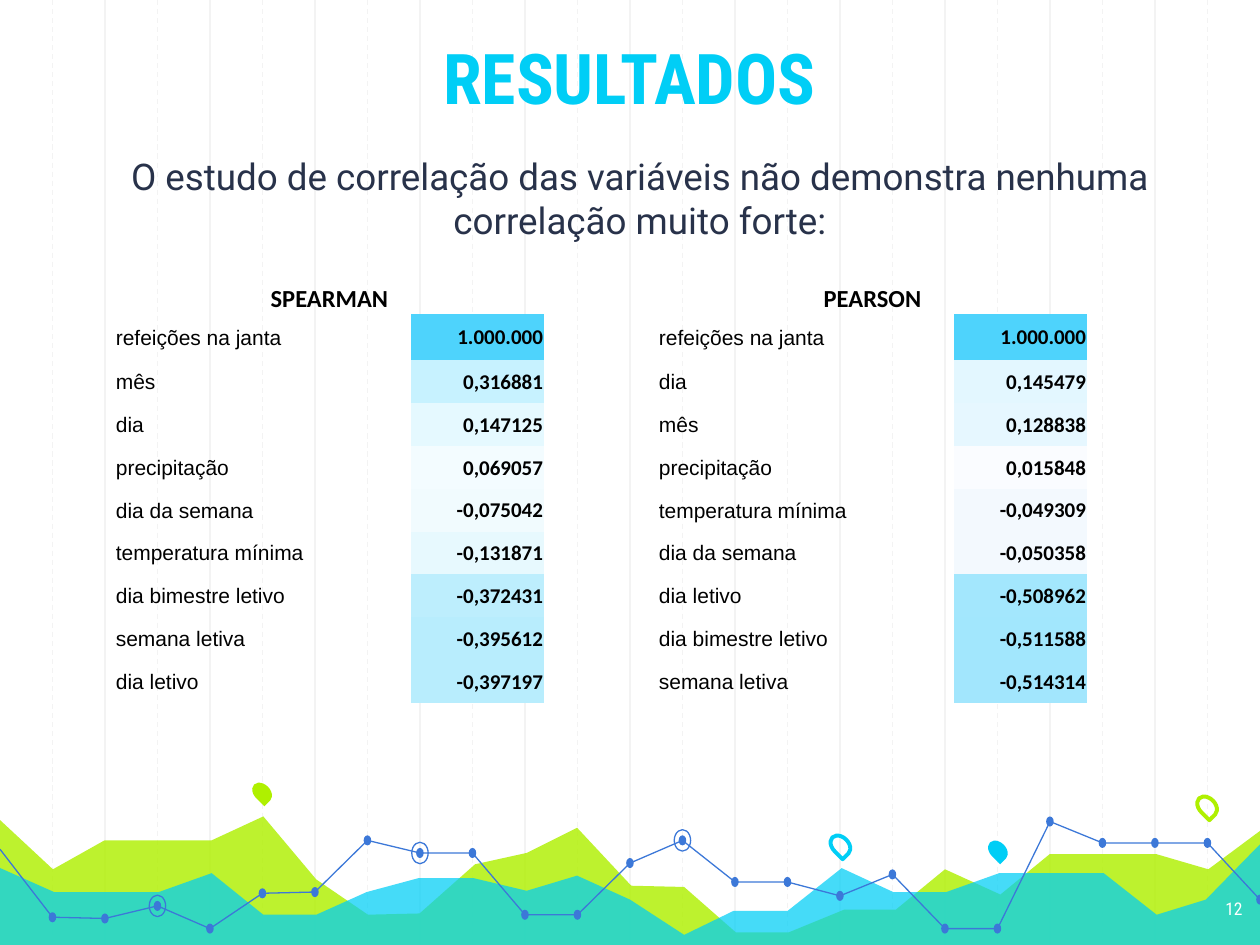
"""Build the results slide with two correlation tables over a chart-like footer."""
from pptx import Presentation
from pptx import util as u
from pptx.dml.color import RGBColor
from pptx.enum import dml, shapes, text
from pptx.oxml.ns import qn
from lxml import etree

COLORS = {"grid": "F3F3F3", "lime": "AFF000", "cyan": "00CEF6", "blue": "3C78D8",
          "navy": "28324A", "white": "FFFFFF", "black": "000000"}
SHADES = {"1.000.000": "4ED3FC", "0,316881": "C7F2FF", "0,147125": "E5F9FF",
          "0,069057": "F3FCFF", "-0,075042": "F1FBFE", "-0,131871": "E7F9FE",
          "-0,372431": "BDEEFD", "-0,395612": "B8EDFD", "-0,397197": "B8EDFD",
          "0,145479": "E3F7FF", "0,128838": "E6F7FF", "0,015848": "FAFCFF",
          "-0,049309": "F3F9FE", "-0,050358": "F3F9FE", "-0,508962": "A3E7FD",
          "-0,511588": "A2E7FD", "-0,514314": "A2E6FD"}
SPEARMAN = [("refeições na janta", "1.000.000"), ("mês", "0,316881"),
            ("dia", "0,147125"), ("precipitação", "0,069057"),
            ("dia da semana", "-0,075042"), ("temperatura mínima", "-0,131871"),
            ("dia bimestre letivo", "-0,372431"), ("semana letiva", "-0,395612"),
            ("dia letivo", "-0,397197")]
PEARSON = [("refeições na janta", "1.000.000"), ("dia", "0,145479"),
           ("mês", "0,128838"), ("precipitação", "0,015848"),
           ("temperatura mínima", "-0,049309"), ("dia da semana", "-0,050358"),
           ("dia letivo", "-0,508962"), ("dia bimestre letivo", "-0,511588"),
           ("semana letiva", "-0,514314")]
LIME_AREA = [(-0.02, 6.49), (0.42, 6.9), (0.83, 6.67), (1.68, 6.67), (2.09, 6.48),
             (2.51, 6.98), (2.92, 7.26), (3.33, 7.25), (3.77, 6.86), (4.18, 6.77),
             (4.58, 6.57), (5.01, 7.03), (5.43, 7.04), (5.84, 7.4), (6.26, 7.4),
             (6.7, 7.22), (7.11, 7.22), (7.5, 6.9), (7.94, 7.1), (8.33, 6.78),
             (9.18, 6.78), (9.59, 6.9), (10.02, 6.58), (10.01, 7.52), (-0.03, 7.52)]
CYAN_AREA = [(-0.02, 6.88), (0.43, 7.08), (1.26, 7.08), (1.68, 6.93), (2.09, 7.26),
             (2.51, 7.26), (2.91, 7.08), (3.32, 6.97), (3.76, 6.97), (4.18, 7.07),
             (4.58, 6.95), (5, 7.14), (5.43, 7.42), (5.82, 7.23), (6.25, 7.23),
             (6.68, 6.89), (7.09, 7.08), (7.51, 7.08), (7.93, 6.93), (8.76, 6.93),
             (9.18, 7.26), (9.57, 7.14), (10.02, 6.68), (10.02, 7.53), (-0.03, 7.53)]
STEP = 10 / 24
TRACE = [(i * STEP, y) for i, y in enumerate([
    6.74, 7.28, 7.29, 7.19, 7.37, 7.09, 7.08, 6.67, 6.77, 6.77, 7.26, 7.26, 6.85,
    6.67, 7, 7, 7.11, 6.94, 7.37, 7.37, 6.52, 6.69, 6.69, 6.69, 7.14])]


def rgb(name):
    return RGBColor.from_string(COLORS[name])


def paint(sp, fill=None, line=None, width=0.75):
    sp.shadow.inherit = False
    if fill:
        sp.fill.solid()
        sp.fill.fore_color.rgb = rgb(fill)
    else:
        sp.fill.background()
    if line:
        sp.line.color.rgb = rgb(line)
        sp.line.width = u.Pt(width)
    else:
        sp.line.fill.background()


def add_gridline(s, x, dashed):
    c = s.shapes.add_connector(shapes.MSO_CONNECTOR.STRAIGHT, u.Inches(x), 0,
                               u.Inches(x), u.Inches(7.53))
    c.line.color.rgb = rgb("grid")
    c.line.width = u.Pt(0.75)
    if dashed:
        c.line.dash_style = dml.MSO_LINE.DASH
    etree.SubElement(c.element.spPr, qn("a:effectLst"))


def add_path(s, points, close):
    pts = [(u.Inches(x), u.Inches(y)) for x, y in points]
    fb = s.shapes.build_freeform(*pts[0])
    fb.add_line_segments(pts[1:], close=close)
    return fb.convert_to_shape()


def add_area(s, points, color, opacity):
    sp = add_path(s, points, True)
    paint(sp, fill=color)
    clr = sp.element.spPr.find(qn("a:solidFill")).find(qn("a:srgbClr"))
    etree.SubElement(clr, qn("a:alpha"), val=str(opacity * 1000))


def add_mark(s, kind, center, w, h, **style):
    x, y = center
    sp = s.shapes.add_shape(kind, u.Inches(x - w / 2), u.Inches(y - h / 2),
                            u.Inches(w), u.Inches(h))
    paint(sp, **style)
    return sp


def add_drop(s, center, **style):
    sp = add_mark(s, shapes.MSO_SHAPE.TEAR, center, 0.13, 0.18, **style)
    sp.rotation = 135


def write(tf, words, size, font, color, align, bold=False):
    tf.word_wrap = True
    p = tf.paragraphs[0]
    p.text = words
    p.alignment = align
    f = p.font
    f.size, f.name, f.bold = u.Pt(size), font, bold
    f.color.rgb = rgb(color)


def set_insets(tf, inset):
    tf.margin_left = tf.margin_right = tf.margin_top = tf.margin_bottom = u.Inches(inset)


def add_textbox(s, x, y, w, h):
    return s.shapes.add_textbox(*map(u.Inches, (x, y, w, h))).text_frame


def fill_cell(cell, words, size, font, align, bold):
    write(cell.text_frame, words, size, font, "black", align, bold)
    if words in SHADES:
        cell.fill.solid()
        cell.fill.fore_color.rgb = RGBColor.from_string(SHADES[words])


def add_correlations(s):
    widths = [2.35, 1.06, 0.9, 2.35, 1.06]
    heights = [0.4, 0.37] + [0.34] * 8
    tbl = s.shapes.add_table(len(heights), len(widths), u.Inches(0.91), u.Inches(2.09),
                             u.Inches(sum(widths)), u.Inches(sum(heights))).table
    tbl.first_row = tbl.horz_banding = False
    style = tbl._tbl.tblPr.find(qn("a:tableStyleId"))
    style.text = "{2D5ABB26-0587-4C30-8999-92F81FD0307C}"
    for col, w in zip(tbl.columns, widths):
        col.width = u.Inches(w)
    for row, h in zip(tbl.rows, heights):
        row.height = u.Inches(h)
    for cell in tbl.iter_cells():
        cell.margin_left = cell.margin_right = cell.margin_top = u.Inches(0.01)
        cell.margin_bottom = 0
        cell.vertical_anchor = text.MSO_ANCHOR.MIDDLE
        cell.fill.background()
        cell.text_frame.paragraphs[0].font.size = u.Pt(12)
    for left, name, data in ((0, "SPEARMAN", SPEARMAN), (3, "PEARSON", PEARSON)):
        head = tbl.cell(0, left)
        head.merge(tbl.cell(0, left + 1))
        head.vertical_anchor = text.MSO_ANCHOR.BOTTOM
        fill_cell(head, name, 14, "Calibri", text.PP_ALIGN.CENTER, True)
        for i, (label, value) in enumerate(data, 1):
            fill_cell(tbl.cell(i, left), label, 12, "Arial", text.PP_ALIGN.LEFT, False)
            fill_cell(tbl.cell(i, left + 1), value, 12, "Calibri", text.PP_ALIGN.RIGHT, True)


def add_backdrop(s):
    for first in (2, 1):
        for i in range(first, 24, 2):
            add_gridline(s, i * STEP, dashed=first == 1)
    add_area(s, LIME_AREA, "lime", 82)
    add_area(s, CYAN_AREA, "cyan", 73)
    add_drop(s, (2.08, 6.29), fill="lime")
    add_drop(s, (6.67, 6.71), line="cyan", width=2.25)
    add_drop(s, (7.92, 6.75), fill="cyan")
    add_drop(s, (9.58, 6.4), line="lime", width=2.25)
    for start, end in ((0, 11), (11, 20), (20, 24)):
        paint(add_path(s, TRACE[start:end + 1], False), line="blue")
    for point in TRACE[1:]:
        add_mark(s, shapes.MSO_SHAPE.OVAL, point, 0.06, 0.08, fill="blue")
    for i in (3, 8, 13):
        add_mark(s, shapes.MSO_SHAPE.OVAL, TRACE[i], 0.13, 0.17, line="blue")


def add_title(s):
    sp = s.shapes.title
    sp.element.getparent().append(sp.element)
    sp.left, sp.top, sp.width, sp.height = map(u.Inches, (1.17, 0, 7.65, 1.04))
    tf = sp.text_frame
    set_insets(tf, 0.1)
    tf.auto_size = text.MSO_AUTO_SIZE.NONE
    tf.vertical_anchor = text.MSO_ANCHOR.BOTTOM
    write(tf, "RESULTADOS", 40, "Roboto Condensed", "cyan", text.PP_ALIGN.CENTER, True)


def main():
    prs = Presentation()
    prs.slide_width, prs.slide_height = u.Inches(10), u.Inches(7.5)
    s = prs.slides.add_slide(prs.slide_layouts[5])
    add_backdrop(s)
    add_title(s)
    tf = add_textbox(s, 9.36, 7.04, 0.6, 0.46)
    set_insets(tf, 0.1)
    write(tf, "12", 10, "Roboto Condensed", "white", text.PP_ALIGN.RIGHT)
    tf = add_textbox(s, 0.5, 1.17, 9.16, 0.81)
    tf.auto_size = text.MSO_AUTO_SIZE.SHAPE_TO_FIT_TEXT
    write(tf, "O estudo de correlação das variáveis não demonstra nenhuma "
              "correlação muito forte:", 21, "Roboto", "navy", text.PP_ALIGN.CENTER)
    add_correlations(s)
    prs.save("out.pptx")


if __name__ == "__main__":
    main()
